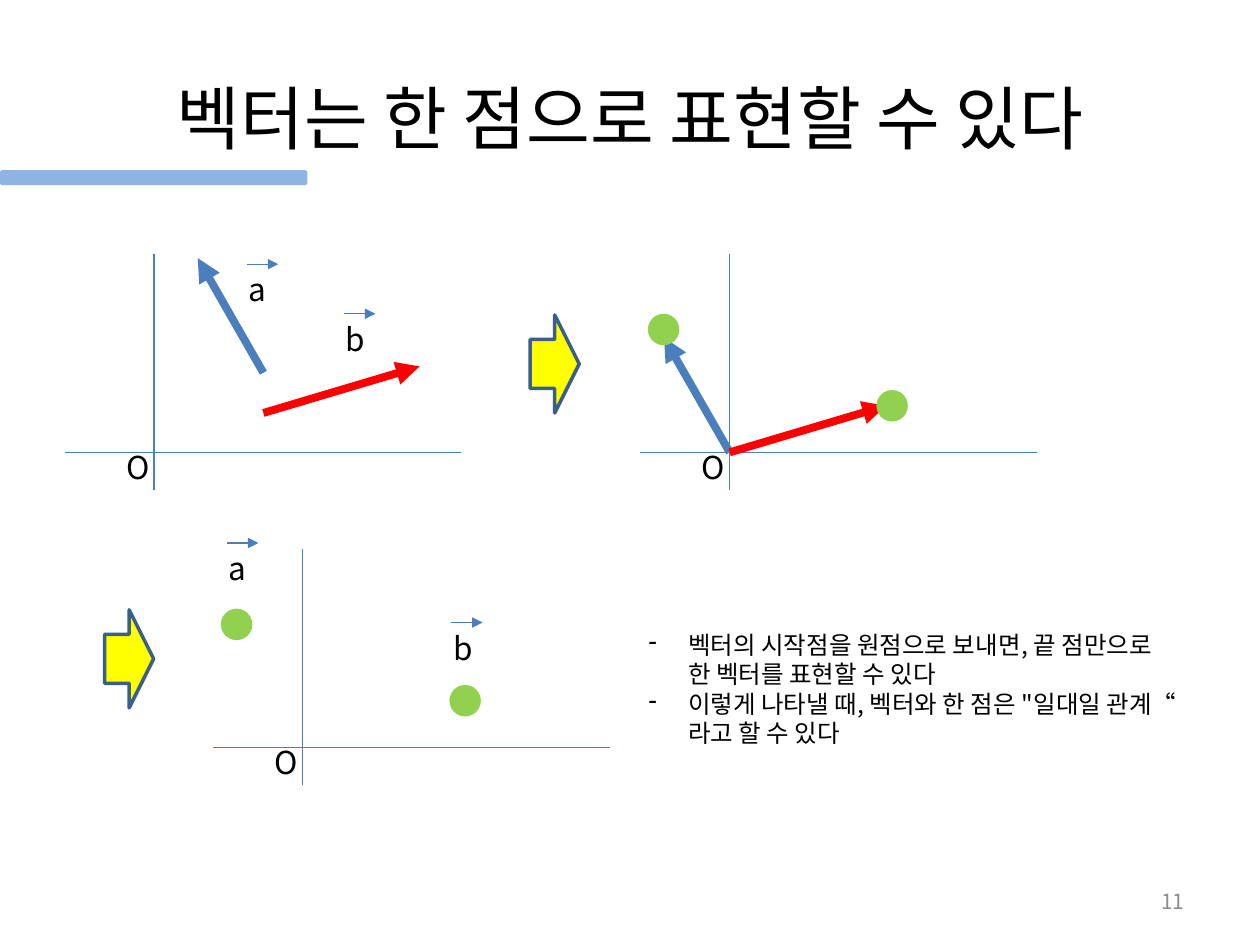
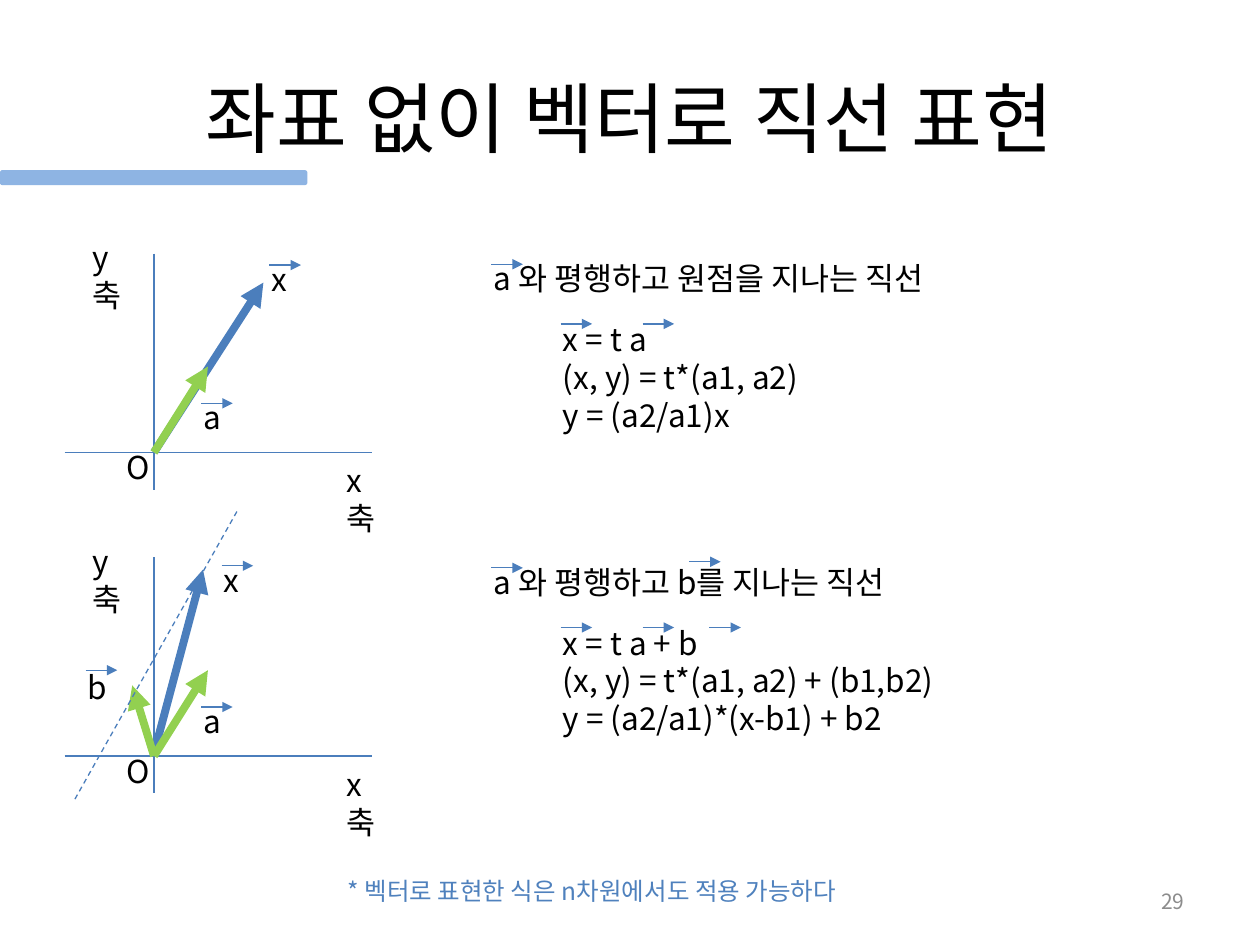
from copy import deepcopy
from dataclasses import dataclass
from typing import NamedTuple

from pptx import Presentation
from pptx.dml.color import RGBColor
from pptx.enum.dml import MSO_LINE
from pptx.enum.shapes import MSO_CONNECTOR, MSO_SHAPE
from pptx.enum.text import MSO_ANCHOR as ANCHOR, PP_ALIGN as ALIGN
from pptx.oxml.ns import qn
from pptx.slide import Slide
from pptx.util import Pt
from lxml.etree import SubElement

FONT = "Noto Sans CJK KR"
COLORS = {
    "text": "000000", "number": "8C8C8C", "band": "8EB4E3", "blue": "4B7EBC",
    "red": "FF0000", "green": "92D050", "yellow": "FFFF00", "edge": "3A5F8C",
    "note": "4F81BD",
}


class Point(NamedTuple):
    x: float
    y: float

    def shift(self, dx: float, dy: float) -> "Point":
        return Point(self.x + dx, self.y + dy)


@dataclass
class Vector:
    tip: Point
    color: str
    start: Point = Point(0, 0)


@dataclass
class Label:
    text: str
    at: Point
    rise: float = 0


@dataclass
class LineCase:
    origin: Point
    vectors: list[Vector]
    labels: list[Label]
    heading: str
    formulas: list[str]
    marks: list[Point]


VECTOR_A = Point(-37.5, -65.5)
VECTOR_B = Point(89.3, -26.6)
DOTS = [Point(-37.8, -70.2), Point(92.8, -26.6)]
LINE_A = Vector(Point(30.8, -49), "green")
LABEL_A = Label("a", Point(27, -28), 6.5)
HEADING_MARK = Point(192.8, -107.5)
FORMULA_MARKS = [Point(232.4, -73.4), Point(279.2, -73.4)]

CASES = [
    LineCase(Point(88, 258.5), [Vector(Point(62.5, -97), "blue"), LINE_A],
             [LABEL_A, Label("x", Point(66, -107), 6.5)],
             "a 와 평행하고 원점을 지나는 직선",
             ["x = t a", "(x, y) = t*(a1, a2)", "y = (a2/a1)x"],
             [HEADING_MARK, *FORMULA_MARKS]),
    LineCase(Point(88, 432),
             [Vector(Point(28, -106.5), "blue", Point(0.5, -3.5)), LINE_A,
              Vector(Point(-12.4, -40.3), "green")],
             [LABEL_A, Label("x", Point(38.7, -108.7), 6.5),
              Label("b", Point(-39, -49), 5)],
             "a 와 평행하고 b를 지나는 직선",
             ["x = t a + b", "(x, y) = t*(a1, a2) + (b1,b2)",
              "y = (a2/a1)*(x-b1) + b2"],
             [HEADING_MARK, *FORMULA_MARKS, Point(305.8, -111),
              Point(317.4, -73.4)]),
]


def rgb(name: str) -> RGBColor:
    """Return a named colour."""
    return RGBColor.from_string(COLORS[name])


def add_text(s: Slide, text: str | list[str], at: Point, width: float = 50,
             height: float = 29, *, size: float = 18, color: str = "text",
             align: ALIGN = ALIGN.LEFT, anchor: ANCHOR = ANCHOR.TOP,
             bullet: str = "") -> None:
    """Add a text box with one paragraph per string."""
    tf = s.shapes.add_textbox(Pt(at.x), Pt(at.y), Pt(width), Pt(height)).text_frame
    tf.word_wrap = True
    tf.vertical_anchor = anchor
    for i, line in enumerate([text] if isinstance(text, str) else text):
        p = tf.paragraphs[0] if i == 0 else tf.add_paragraph()
        p.text = line
        p.alignment = align
        if bullet:
            pPr = p._p.get_or_add_pPr()
            pPr.set("marL", str(Pt(22.5)))
            pPr.set("indent", str(-Pt(22.5)))
            SubElement(pPr, qn("a:buChar")).set("char", bullet)
        for r in p.runs:
            r.font.size = Pt(size)
            r.font.name = FONT
            r.font.color.rgb = rgb(color)
            SubElement(r._r.rPr, qn("a:ea")).set("typeface", FONT)
        for br in p._p.findall(qn("a:br")):
            br.insert(0, deepcopy(p.runs[0]._r.rPr))


def add_line(s: Slide, start: Point, end: Point, color: str = "blue",
             width: float = 0.75, arrow: bool = False, dash: bool = False) -> None:
    """Add a straight line, with an arrowhead at its end if asked."""
    c = s.shapes.add_connector(MSO_CONNECTOR.STRAIGHT, Pt(start.x), Pt(start.y),
                               Pt(end.x), Pt(end.y))
    c.line.color.rgb = rgb(color)
    c.line.width = Pt(width)
    if dash:
        c.line.dash_style = MSO_LINE.DASH
    if arrow:
        SubElement(c.line._get_or_add_ln(), qn("a:tailEnd")).set("type", "triangle")
    SubElement(c._element.spPr, qn("a:effectLst"))


def add_shape(s: Slide, kind: MSO_SHAPE, at: Point, width: float, height: float,
              fill: str, edge: str = "") -> None:
    """Add a filled preset shape."""
    sp = s.shapes.add_shape(kind, Pt(at.x), Pt(at.y), Pt(width), Pt(height))
    sp.shadow.inherit = False
    sp.fill.solid()
    sp.fill.fore_color.rgb = rgb(fill)
    if edge:
        sp.line.color.rgb = rgb(edge)
        sp.line.width = Pt(2)
    else:
        sp.line.fill.background()


def add_slide(prs: Presentation, title: str, number: str, size: float) -> Slide:
    """Add a slide with its title, band and number."""
    s = prs.slides.add_slide(prs.slide_layouts[6])
    add_text(s, title, Point(36, 21.6), 648, 90, size=size, align=ALIGN.CENTER,
             anchor=ANCHOR.MIDDLE)
    add_text(s, number, Point(516, 500.4), 168, size=12, color="number",
             align=ALIGN.RIGHT, anchor=ANCHOR.MIDDLE)
    add_shape(s, MSO_SHAPE.ROUNDED_RECTANGLE, Point(0, 97.2), 175.7, 8.6, "band")
    return s


def add_axes(s: Slide, origin: Point, reach: float) -> None:
    """Add a pair of axes that cross at the origin."""
    add_line(s, origin.shift(0, -113.5), origin.shift(0, 21.3))
    add_line(s, origin.shift(-51, 0), origin.shift(reach, 0))
    add_text(s, "O", origin.shift(-23, -6))


def add_vector(s: Slide, origin: Point, v: Vector) -> None:
    """Add a thick arrow placed relative to the origin."""
    add_line(s, origin.shift(*v.start), origin.shift(*v.tip), v.color, 4.5, True)


def add_mark(s: Slide, at: Point) -> None:
    """Add the small arrow that stands over a vector's letter."""
    add_line(s, at, at.shift(18, 0), arrow=True)


def add_label(s: Slide, origin: Point, label: Label) -> None:
    """Add a vector's letter with its mark."""
    at = origin.shift(*label.at)
    add_text(s, label.text, at.shift(-6, -label.rise))
    add_mark(s, at)


def add_dots(s: Slide, origin: Point) -> None:
    """Add the end points of both vectors."""
    for dot in DOTS:
        add_shape(s, MSO_SHAPE.OVAL, origin.shift(*dot).shift(-9, -9), 18, 18, "green")


def build_points(prs: Presentation) -> None:
    """Build the slide on vectors as points."""
    s = add_slide(prs, "벡터는 한 점으로 표현할 수 있다", "11", 39.6)
    free, bound, points = Point(88, 258.5), Point(417, 258.5), Point(173, 427)
    for origin in (free, bound, points):
        add_axes(s, origin, 175.5)
    starts = {free: (Point(62.5, -45.5), Point(62.5, -22.5)),
              bound: (Point(0, 0), Point(0, 0))}
    for origin, (start_a, start_b) in starts.items():
        add_vector(s, origin, Vector(start_a.shift(*VECTOR_A), "blue", start_a))
        add_vector(s, origin, Vector(start_b.shift(*VECTOR_B), "red", start_b))
    for origin in (bound, points):
        add_dots(s, origin)
    for origin, a, b in ((free, Point(53, -107.5), Point(108.5, -79.2)),
                         (points, Point(-43.4, -116.7), Point(84.8, -71.3))):
        add_label(s, origin, Label("a", a))
        add_label(s, origin, Label("b", b))
    for at in (Point(303, 180), Point(59.8, 348.5)):
        add_shape(s, MSO_SHAPE.RIGHT_ARROW, at, 28, 56, "yellow", "edge")
    add_text(s, ["벡터의 시작점을 원점으로 보내면, 끝 점만으로\v한 벡터를 표현할 수 있다",
                 "이렇게 나타낼 때, 벡터와 한 점은 \"일대일 관계“\v라고 할 수 있다"],
             Point(363.6, 356.4), 350, 75, size=14, bullet="-")


def build_lines(prs: Presentation) -> None:
    """Build the slide on lines written with vectors."""
    s = add_slide(prs, "좌표 없이 벡터로 직선 표현", "29", 44)
    for case in CASES:
        o = case.origin
        add_axes(s, o, 124.5)
        add_text(s, "x\v축", o.shift(102.8, 1.5))
        add_text(s, "y\v축", o.shift(-42, -126))
        for v in case.vectors:
            add_vector(s, o, v)
        for label in case.labels:
            add_label(s, o, label)
        add_text(s, case.heading, o.shift(187, -113.8), 340)
        add_text(s, case.formulas, o.shift(226.6, -79.2), 300, 73)
        for mark in case.marks:
            add_mark(s, o.shift(*mark))
    o = CASES[1].origin
    add_line(s, o.shift(47.4, -139.7), o.shift(-45.5, 25.2), dash=True)
    add_text(s, "* 벡터로 표현한 식은 n차원에서도 적용 가능하다", Point(191.5, 496.8),
             340, 24.5, size=14, color="note")


def main() -> None:
    """Build and save the presentation."""
    prs = Presentation()
    prs.slide_width, prs.slide_height = Pt(720), Pt(540)
    build_points(prs)
    build_lines(prs)
    prs.save("out.pptx")


if __name__ == "__main__":
    main()
